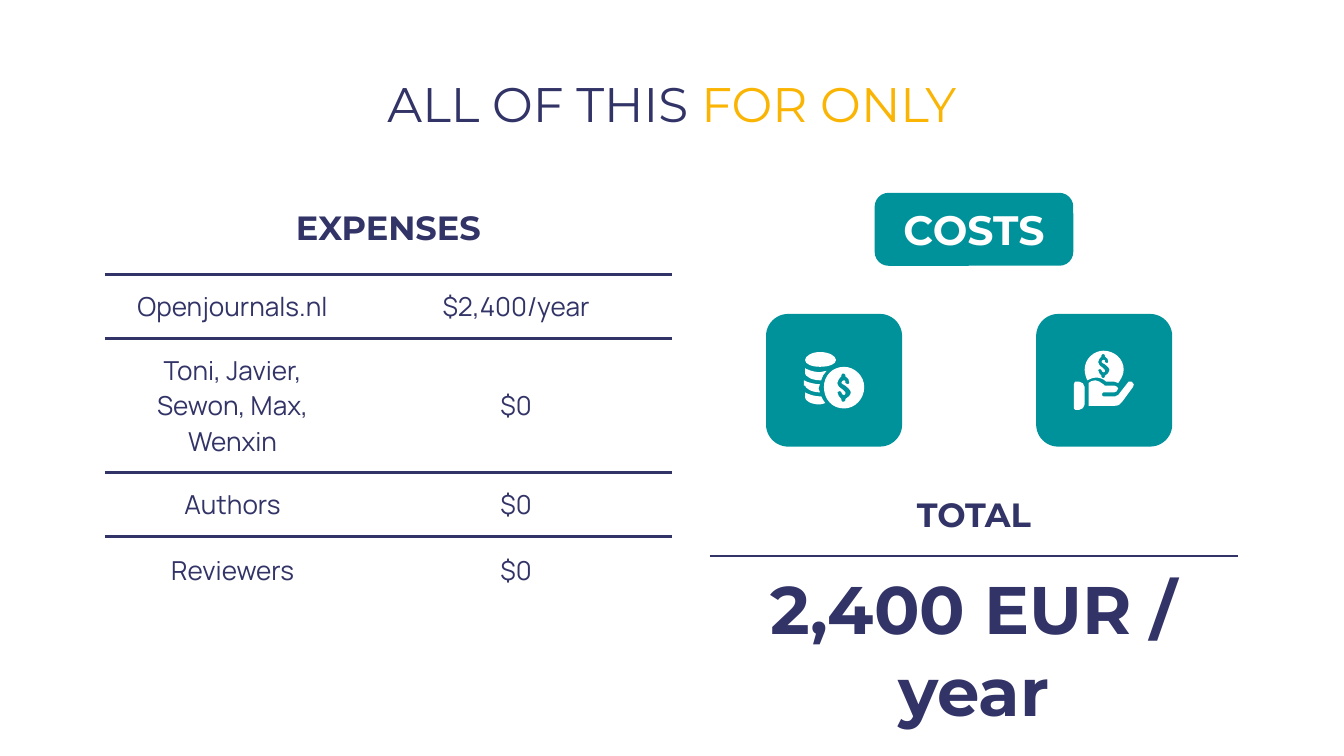
from lxml.etree import SubElement
from pptx import Presentation
from pptx.dml.color import RGBColor
from pptx.enum.shapes import MSO_SHAPE as Shape
from pptx.enum.text import MSO_ANCHOR as Anchor, PP_ALIGN as Align
from pptx.oxml import parse_xml
from pptx.oxml.ns import nsdecls, qn
from pptx.util import Pt


class Theme:
    navy, gold, teal, white = "323366", "FAB403", "00929B", "FFFFFF"
    heading, body = "Montserrat", "Manrope"
    title_size, badge_size, head_size, body_size, total_size = 26, 22, 18, 14, 36
    rule, inset = 1.5, 7.2


# Content
TITLE = [("ALL OF THIS ", Theme.navy), ("FOR ONLY", Theme.gold)]
EXPENSES_HEAD = "EXPENSES"
EXPENSES = [
    ("Openjournals.nl", "$2,400/year"),
    ("Toni, Javier, Sewon, Max, Wenxin", "$0"),
    ("Authors", "$0"),
    ("Reviewers", "$0"),
]
BADGE = "COSTS"
TOTAL = ["TOTAL", "2,400 EUR / year"]


def shifted(outline, dx, dy, scale=1.0):
    return [tuple(value * scale + (dy if index % 2 else dx)
                  for index, value in enumerate(part)) for part in outline]


# Icon outlines on a fine grid: pairs are corners, sextets are Bézier curves
GRID = 0.72
DOLLAR = [
    (5, 0), (6, 0, 6, 0, 6, 1), (6, 2), (8, 3, 9, 5, 9, 7), (9, 8, 9, 8, 8, 8),
    (7, 8, 6, 7, 6, 7), (6, 6, 6, 5, 5, 5), (4, 5, 3, 6, 3, 7), (3, 8, 5, 8, 6, 9),
    (7, 10, 10, 12, 10, 14), (10, 16, 8, 18, 6, 19), (6, 20), (6, 21, 6, 21, 5, 21),
    (4, 21, 3, 21, 3, 20), (3, 19), (2, 18, 0, 16, 0, 14), (0, 14, 1, 13, 2, 13),
    (3, 13, 3, 14, 3, 14), (3, 15, 4, 16, 5, 16), (6, 16, 6, 15, 6, 14),
    (6, 14, 5, 13, 4, 12), (2, 11, 0, 9, 0, 7), (0, 5, 2, 3, 3, 2), (3, 1),
    (3, 0, 4, 0, 5, 0),
]
COIN = [(30, 11), (21, 11, 15, 18, 15, 26), (15, 35, 21, 42, 30, 42),
        (38, 42, 45, 35, 45, 26), (45, 18, 38, 11, 30, 11)]
STACK_TOP = [(12, 0), (6, 0, 1, 3, 1, 6), (1, 9, 6, 11, 12, 11),
             (19, 11, 24, 9, 24, 6), (24, 3, 19, 0, 12, 0)]
UPPER_BAND = [(1, 12), (1, 16), (1, 17, 2, 18, 4, 19), (5, 20, 9, 21, 12, 21), (13, 21),
              (14, 18, 15, 16, 17, 14), (15, 14, 14, 15, 12, 15), (9, 15, 5, 14, 3, 13),
              (2, 13, 1, 12, 1, 12)]
LOWER_BAND = [(1, 30), (1, 34), (1, 36, 5, 39, 12, 39), (14, 39, 15, 38, 16, 38),
              (15, 37, 14, 35, 13, 33), (12, 33), (9, 33, 5, 32, 3, 31), (2, 31, 1, 30, 1, 30)]
MIDDLE_BAND = [(0, 21), (0, 25), (1, 25), (1, 26, 2, 27, 4, 28), (5, 29, 9, 30, 12, 30),
               (12, 29, 11, 28, 11, 27), (11, 26, 12, 25, 12, 24), (9, 24, 5, 23, 2, 22),
               (2, 22, 1, 21, 0, 21)]
CUFF = [(1, 23), (1, 23, 0, 24, 0, 25), (0, 43), (0, 44, 1, 44, 1, 44), (4, 44),
        (6, 44, 8, 42, 8, 40), (8, 27), (8, 25, 6, 23, 4, 23)]
HELD_COIN = [(22, 0), (15, 0, 8, 6, 8, 14), (8, 17, 9, 20, 10, 22), (12, 21, 14, 20, 17, 20),
             (19, 20, 22, 21, 24, 23), (30, 23), (31, 23, 32, 23, 33, 24),
             (35, 21, 37, 18, 37, 14), (37, 6, 30, 0, 22, 0)]
HAND = [
    (16, 22), (14, 22, 12, 23, 11, 24), (11, 41), (30, 41), (33, 41, 35, 40, 36, 38),
    (44, 27), (45, 26, 45, 24, 43, 23), (43, 23, 42, 23, 42, 23), (41, 23, 40, 23, 40, 24),
    (33, 33), (32, 33, 31, 34, 31, 34), (22, 34), (21, 34, 21, 33, 21, 32),
    (21, 31, 21, 31, 22, 31), (30, 31), (31, 31, 33, 30, 33, 28), (33, 27, 31, 26, 30, 26),
    (23, 26), (22, 26, 22, 25, 22, 25), (21, 24, 20, 24, 19, 23), (18, 23, 17, 22, 16, 22),
]
# Left, top and parts of each icon; a part is one or more outlines
ICONS = [
    (430.6, 188.6, [[shifted(DOLLAR, 25, 16), COIN], [STACK_TOP], [UPPER_BAND],
                    [LOWER_BAND], [MIDDLE_BAND]]),
    (575.3, 187.9, [[CUFF], [shifted(DOLLAR, 18, 2.5, 0.85), HELD_COIN], [HAND]]),
]

presentation = Presentation()
presentation.slide_width, presentation.slide_height = Pt(720), Pt(405)
slide = presentation.slides.add_slide(presentation.slide_layouts[6])
shapes = slide.shapes


def write(frame, runs, size, font=Theme.heading, color=Theme.navy, bold=False):
    """Fill a text frame with one centred paragraph; runs is text or (text, colour) pairs."""
    frame.word_wrap = True
    paragraph = frame.paragraphs[0]
    paragraph.alignment = Align.CENTER
    for text, run_color in [(runs, color)] if isinstance(runs, str) else runs:
        run = paragraph.add_run()
        run.text = text
        run.font.name, run.font.size, run.font.bold = font, Pt(size), bold
        run.font.color.rgb = RGBColor.from_string(run_color)


def paint(shape, color):
    shape.shadow.inherit = False
    shape.fill.solid()
    shape.fill.fore_color.rgb = RGBColor.from_string(color)
    shape.line.fill.background()
    return shape


def add_rounded(left, top, width, height):
    return paint(shapes.add_shape(Shape.ROUNDED_RECTANGLE, Pt(left), Pt(top),
                                  Pt(width), Pt(height)), Theme.teal)


def add_outlines(outlines, left, top):
    """Draw outlines as one freeform, so that an inner one cuts a hole."""
    placed = [[[Pt((top if index % 2 else left) + value * GRID)
                for index, value in enumerate(part)] for part in outline]
              for outline in outlines]
    corners = [part[-2:] for outline in placed for part in outline]
    builder = shapes.build_freeform(*corners[0])
    builder.add_line_segments(corners[1:])
    shape = paint(builder.convert_to_shape(), Theme.white)
    # Swap the straight segments for true curves
    path = shape._element.find(".//" + qn("a:path"))
    for segment in list(path):
        path.remove(segment)
    for outline in placed:
        for index, part in enumerate(outline):
            tag = "cubicBezTo" if len(part) == 6 else "lnTo" if index else "moveTo"
            segment = SubElement(path, qn(f"a:{tag}"))
            for x, y in zip(part[::2], part[1::2]):
                SubElement(segment, qn("a:pt"), x=str(x - shape.left), y=str(y - shape.top))
        SubElement(path, qn("a:close"))


def set_borders(cell, above, below):
    """Rule the cell above and below where asked; leave all other sides open."""
    properties = cell._tc.get_or_add_tcPr()
    for index, (side, shown) in enumerate(
            [("L", False), ("R", False), ("T", above), ("B", below)]):
        line = parse_xml(f'<a:ln{side} {nsdecls("a")} w="{Pt(Theme.rule)}"/>')
        if shown:
            fill = SubElement(line, qn("a:solidFill"))
            SubElement(fill, qn("a:srgbClr"), val=Theme.navy)
        else:
            SubElement(line, qn("a:noFill"))
        properties.insert(index, line)


def set_insets(target):
    target.margin_left = target.margin_right = Pt(Theme.inset)
    target.margin_top = target.margin_bottom = Pt(Theme.inset)
    target.vertical_anchor = Anchor.MIDDLE


def add_ruled_table(left, top, columns, rows):
    table = shapes.add_table(len(rows), len(columns), Pt(left), Pt(top),
                             Pt(sum(columns)), Pt(sum(rows))).table
    table.first_row = table.horz_banding = False
    for column, width in zip(table.columns, columns):
        column.width = Pt(width)
    for index, (row, height) in enumerate(zip(table.rows, rows)):
        row.height = Pt(height)
        for cell in row.cells:
            cell.fill.background()
            set_insets(cell)
            set_borders(cell, above=index > 0, below=index < len(rows) - 1)
    return table


# Title
title = shapes.add_textbox(Pt(56.2), Pt(32.4), Pt(607.6), Pt(45.4)).text_frame
set_insets(title)
write(title, TITLE, Theme.title_size)

# Expenses table
expenses = add_ruled_table(56.2, 98, [136.8, 167], [49.1, 34.3, 71.8, 34.3, 36.7])
expenses.cell(0, 0).merge(expenses.cell(0, 1))
write(expenses.cell(0, 0).text_frame, EXPENSES_HEAD, Theme.head_size, bold=True)
for row, entry in enumerate(EXPENSES, start=1):
    for column, text in enumerate(entry):
        write(expenses.cell(row, column).text_frame, text, Theme.body_size, font=Theme.body)

# Total table
total = add_ruled_table(380.2, 254.7, [283], [43.3, 100.8])
for row, (text, size) in enumerate(zip(TOTAL, [Theme.head_size, Theme.total_size])):
    write(total.cell(row, 0).text_frame, text, size, bold=True)

# Costs badge
badge = add_rounded(468.6, 103.3, 106.4, 39.1)
badge.adjustments[0] = 0.19
set_insets(badge.text_frame)
write(badge.text_frame, BADGE, Theme.badge_size, color=Theme.white, bold=True)

# Icons on their tiles
for tile_left, (left, top, parts) in zip((410.4, 555.1), ICONS):
    add_rounded(tile_left, 168.2, 72.9, 71.1)
    for outlines in parts:
        add_outlines(outlines, left, top)

presentation.save("out.pptx")
